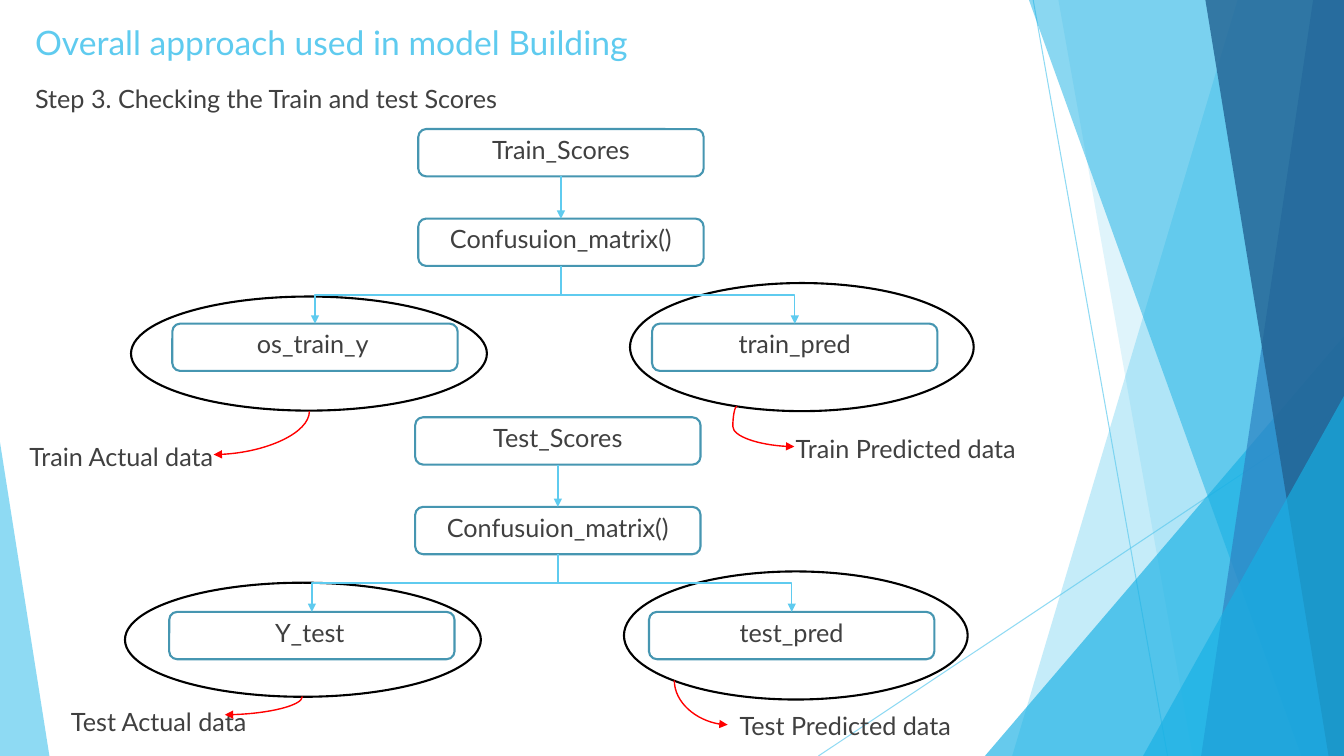
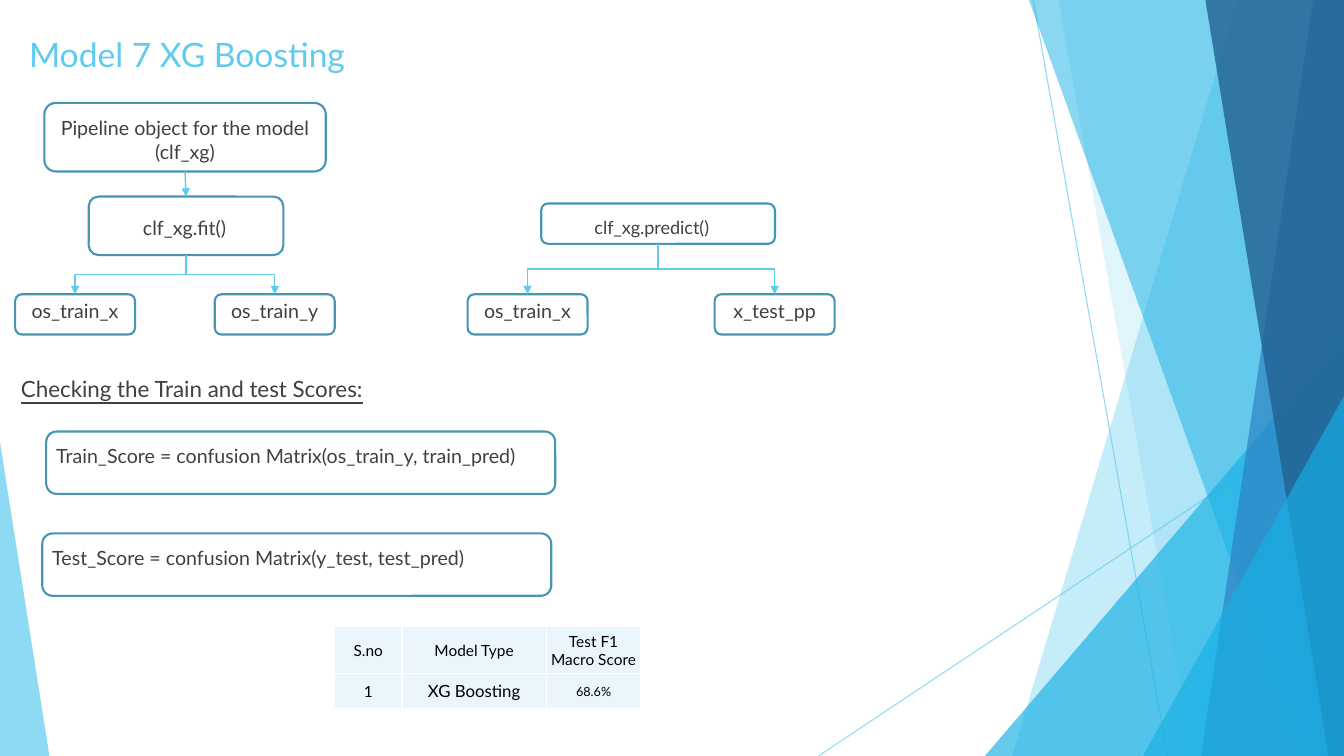
from lxml.etree import SubElement
from pptx import Presentation
from pptx.dml.color import RGBColor
from pptx.enum.shapes import MSO_CONNECTOR, MSO_SHAPE
from pptx.enum.text import MSO_ANCHOR, PP_ALIGN
from pptx.oxml.ns import qn
from pptx.util import Pt

FONT = "Lato"
SKY, CYAN, BLUE, NAVY = "5FCBEF", "17B0E4", "2E83C3", "226292"
OUTLINE, INK, BLACK, RED = "4696B1", "404040", "000000", "FF0000"
WHITE, PALE = "FFFFFF", "EAF6FC"
LEFT, CENTER = PP_ALIGN.LEFT, PP_ALIGN.CENTER
WIDTH, HEIGHT = 960, 540


def paint(fill, color, opacity=100):
    """Give a shape, line, font or cell fill one colour; opacity is in percent."""
    fill.solid()
    fill.fore_color.rgb = RGBColor.from_string(color)
    if opacity < 100:
        color_node = fill._xPr.find(qn("a:solidFill"))[0]
        SubElement(color_node, qn("a:alpha"), val=str(opacity * 1000))


def write(frame, text, size, color=INK, align=CENTER, underline=None):
    frame.text = text
    frame.word_wrap = True
    para = frame.paragraphs[0]
    para.alignment = align
    for span in para.runs:
        span.font.name = FONT
        span.font.size = Pt(size)
        span.font.underline = underline
        paint(span.font.fill, color)


# Shared backdrop: start x, start y, end x, end y
hairlines = [(738, 0, 834, HEIGHT), (WIDTH, 290, 584.6, HEIGHT)]
# Top corner x, bottom left x, bottom right x, top y, colour, opacity
bands = [
    (884, 723, WIDTH, 0, SKY, 36),
    (756, 852, WIDTH, 0, SKY, 20),
    (WIDTH, 703.5, WIDTH, 240, CYAN, 66),
    (735, 929.5, WIDTH, 0, CYAN, 50),
    (938, 858, WIDTH, 0, BLUE, 70),
    (861, 949, WIDTH, 0, NAVY, 80),
    (WIDTH, 816.5, WIDTH, 283, CYAN, 66),
    (0, 0, 35.3, 316, SKY, 70),
]

# Boxes: text, left, top, width, height, size, alignment, text drop, extra right inset
score_boxes = []
for tree_left, tree_top, names in [
    (298.8, 92.2, ["Train_Scores", "Confusuion_matrix()", "os_train_y", "train_pred"]),
    (296.6, 298.1, ["Test_Scores", "Confusuion_matrix()", "Y_test", "test_pred"]),
]:
    places = [(0, 0, 0), (0, 64, 0), (-175.7, 139, 3), (167, 139, 0)]
    for name, (across, down, inset) in zip(names, places):
        score_boxes.append((name, tree_left + across, tree_top + down,
                            203.8, 33.8, 18, CENTER, 0, inset))

model_boxes = [
    ("Pipeline object for the model (clf_xg)", 31.7, 73.5, 201, 49, 14, CENTER, 5.8, 0),
    ("clf_xg.fit()", 63.4, 140.4, 139, 41.8, 14, CENTER, 10, 2),
    ("clf_xg.predict()", 386.6, 145.4, 167, 28.8, 12.9, CENTER, 5.8, 9),
]
for name, leaf_left in [("os_train_x", 10.8), ("os_train_y", 153.4),
                        ("os_train_x", 334), ("x_test_pp", 510.5)]:
    model_boxes.append((name, leaf_left, 210.2, 85.7, 28.8, 14, CENTER, 0, 0))
model_boxes += [
    ("Train_Score = confusion Matrix(os_train_y, train_pred)",
     33, 308.2, 363.6, 44.6, 14, LEFT, 5, 0),
    ("Test_Score = confusion Matrix(y_test, test_pred)",
     30.2, 381, 363.6, 44.6, 14, LEFT, 5.6, 0),
]

# Labels: text, left, top, width, size, colour, alignment, underline
# Links join boxes by index; curves run from start to end, with an optional bulge
pages = [
    {
        "labels": [
            ("Overall approach used in model Building", 18, 12.2, 470, 24, SKY, LEFT, None),
            ("Step 3. Checking the Train and test Scores", 18, 56.2, 462, 18, INK, LEFT, None),
            ("Train Actual data", 5, 311.8, 163.4, 18, INK, CENTER, None),
            ("Test Actual data", 31.7, 501.1, 163.4, 18, INK, CENTER, None),
            ("Train Predicted data", 556.6, 306, 180.7, 18, INK, CENTER, None),
            ("Test Predicted data", 513.4, 504, 180.7, 18, INK, CENTER, None),
        ],
        "boxes": score_boxes,
        "links": [(0, 1), (1, 2), (1, 3), (4, 5), (5, 6), (5, 7)],
        "ellipses": [(93.6, 211.8, 254.2, 81.5), (89.3, 416.2, 254.2, 81.5),
                     (450, 202.2, 245.5, 91.5), (445.7, 408.2, 245.5, 91.5)],
        "curves": [((221, 293.8), (152.6, 324.7), None),
                   ((216, 497.5), (160.6, 510.5), None),
                   ((526.3, 290.2), (567.4, 319), -6900),
                   ((481.7, 486), (519.8, 517.7), None)],
    },
    {
        "labels": [
            ("Model 7 XG Boosting", 13.7, 20.9, 310, 24, SKY, LEFT, None),
            ("Checking the Train and test Scores:", 7.9, 264.2, 462, 16, INK, LEFT, True),
        ],
        "boxes": model_boxes,
        "links": [(0, 1), (1, 3), (1, 4), (2, 5), (2, 6)],
        "ellipses": [],
        "curves": [],
    },
]

deck = Presentation()
deck.slide_width, deck.slide_height = Pt(WIDTH), Pt(HEIGHT)

for page in pages:
    slide = deck.slides.add_slide(deck.slide_layouts[6])
    shapes = slide.shapes

    for ends in hairlines:
        hairline = shapes.add_connector(MSO_CONNECTOR.STRAIGHT, *map(Pt, ends))
        hairline.line.width = Pt(0.75)
        paint(hairline.line.fill, SKY, 70)

    for corner, bottom_left, bottom_right, top, color, opacity in bands:
        if top:
            width = bottom_right - bottom_left
            band = shapes.add_shape(MSO_SHAPE.ISOSCELES_TRIANGLE, Pt(bottom_left), Pt(top),
                                    Pt(width), Pt(HEIGHT - top))
            band.adjustments[0] = (corner - bottom_left) / width
        else:
            outline = shapes.build_freeform(Pt(corner), Pt(0), 1.0)
            outline.add_line_segments([(Pt(WIDTH), Pt(0)), (Pt(WIDTH), Pt(HEIGHT)),
                                       (Pt(bottom_left), Pt(HEIGHT))])
            band = outline.convert_to_shape()
        paint(band.fill, color, opacity)
        band.line.fill.background()

    for text, left, top, width, size, color, align, underline in page["labels"]:
        label = shapes.add_textbox(Pt(left), Pt(top), Pt(width), Pt(36))
        write(label.text_frame, text, size, color, align, underline)

    for text, left, top, width, height, size, align, drop, inset in page["boxes"]:
        box = shapes.add_shape(MSO_SHAPE.ROUNDED_RECTANGLE,
                               Pt(left), Pt(top), Pt(width), Pt(height))
        box.fill.background()
        box.line.width = Pt(1.5)
        paint(box.line.fill, OUTLINE)
        frame = box.text_frame
        write(frame, text, size, align=align)
        frame.vertical_anchor = MSO_ANCHOR.TOP
        # The rounded corners already push the text in by 5% of the height
        rounding = 0.05 * height
        frame.margin_top = Pt(3.6 + drop - rounding)
        frame.margin_left = Pt(7.2 - rounding)
        frame.margin_right = Pt(7.2 - rounding + inset)

    for ellipse_frame in page["ellipses"]:
        ellipse = shapes.add_shape(MSO_SHAPE.OVAL, *map(Pt, ellipse_frame))
        ellipse.fill.background()
        ellipse.line.width = Pt(1.5)
        paint(ellipse.line.fill, BLACK)

    arrows = [(MSO_CONNECTOR.CURVE, start, end, bulge, RED)
              for start, end, bulge in page["curves"]]
    for parent, child in page["links"]:
        _, left, top, width, height, *_ = page["boxes"][parent]
        start = (left + width / 2, top + height)
        _, left, top, width, *_ = page["boxes"][child]
        end = (left + width / 2, top)
        aligned = abs(end[0] - start[0]) < 2
        kind = MSO_CONNECTOR.STRAIGHT if aligned else MSO_CONNECTOR.ELBOW
        arrows.append((kind, start, end, None, SKY))

    for kind, start, end, bulge, color in arrows:
        turned = kind != MSO_CONNECTOR.STRAIGHT and bulge is None
        rightward = end[0] > start[0]
        ends = (*start, *end)
        if turned:
            # Leaving downwards: lay the frame on its side about its centre
            middle_x, middle_y = (start[0] + end[0]) / 2, (start[1] + end[1]) / 2
            half_drop, half_span = (end[1] - start[1]) / 2, abs(end[0] - start[0]) / 2
            if rightward:
                half_drop = -half_drop
            ends = (middle_x - half_drop, middle_y - half_span,
                    middle_x + half_drop, middle_y + half_span)
        arrow = shapes.add_connector(kind, *map(Pt, ends))
        properties = arrow._element.spPr
        geometry = properties.find(qn("a:prstGeom"))
        if turned:
            properties.find(qn("a:xfrm")).set("rot", "16200000" if rightward else "5400000")
            if kind == MSO_CONNECTOR.CURVE:
                geometry.set("prst", "curvedConnector2")
        if bulge is not None:
            SubElement(geometry.find(qn("a:avLst")), qn("a:gd"),
                       name="adj1", fmla=f"val {bulge}")
        arrow.line.width = Pt(1)
        paint(arrow.line.fill, color)
        SubElement(properties.find(qn("a:ln")), qn("a:tailEnd"), type="triangle")

    for shape in shapes:
        if hasattr(shape, "shadow"):
            shape.shadow.inherit = False
        else:
            SubElement(shape._element.spPr, qn("a:effectLst"))

# Score table on the last slide
rows = [[("S.no", 11), ("Model Type", 11), ("Test F1 Macro Score", 11)],
        [("1", 11), ("XG Boosting", 12), ("68.6%", 9)]]
column_widths, row_heights = [48.2, 103, 67.7], [33, 25.2]
table = shapes.add_table(2, 3, Pt(239), Pt(447.8),
                         Pt(sum(column_widths)), Pt(sum(row_heights))).table
table.first_row = table.horz_banding = False
for column, width in zip(table.columns, column_widths):
    column.width = Pt(width)
for row, height, entries in zip(table.rows, row_heights, rows):
    row.height = Pt(height)
    for cell, (text, size) in zip(row.cells, entries):
        write(cell.text_frame, text, size, BLACK)
        cell.vertical_anchor = MSO_ANCHOR.MIDDLE
        cell.margin_left = cell.margin_right = cell.margin_top = Pt(0.7)
        cell.margin_bottom = Pt(0)
        cell_properties = cell._tc.get_or_add_tcPr()
        for side in ("a:lnL", "a:lnR", "a:lnT", "a:lnB"):
            border = SubElement(cell_properties, qn(side), w=str(Pt(1)))
            border_fill = SubElement(border, qn("a:solidFill"))
            SubElement(border_fill, qn("a:srgbClr"), val=WHITE)
        paint(cell.fill, PALE)

deck.save("out.pptx")
